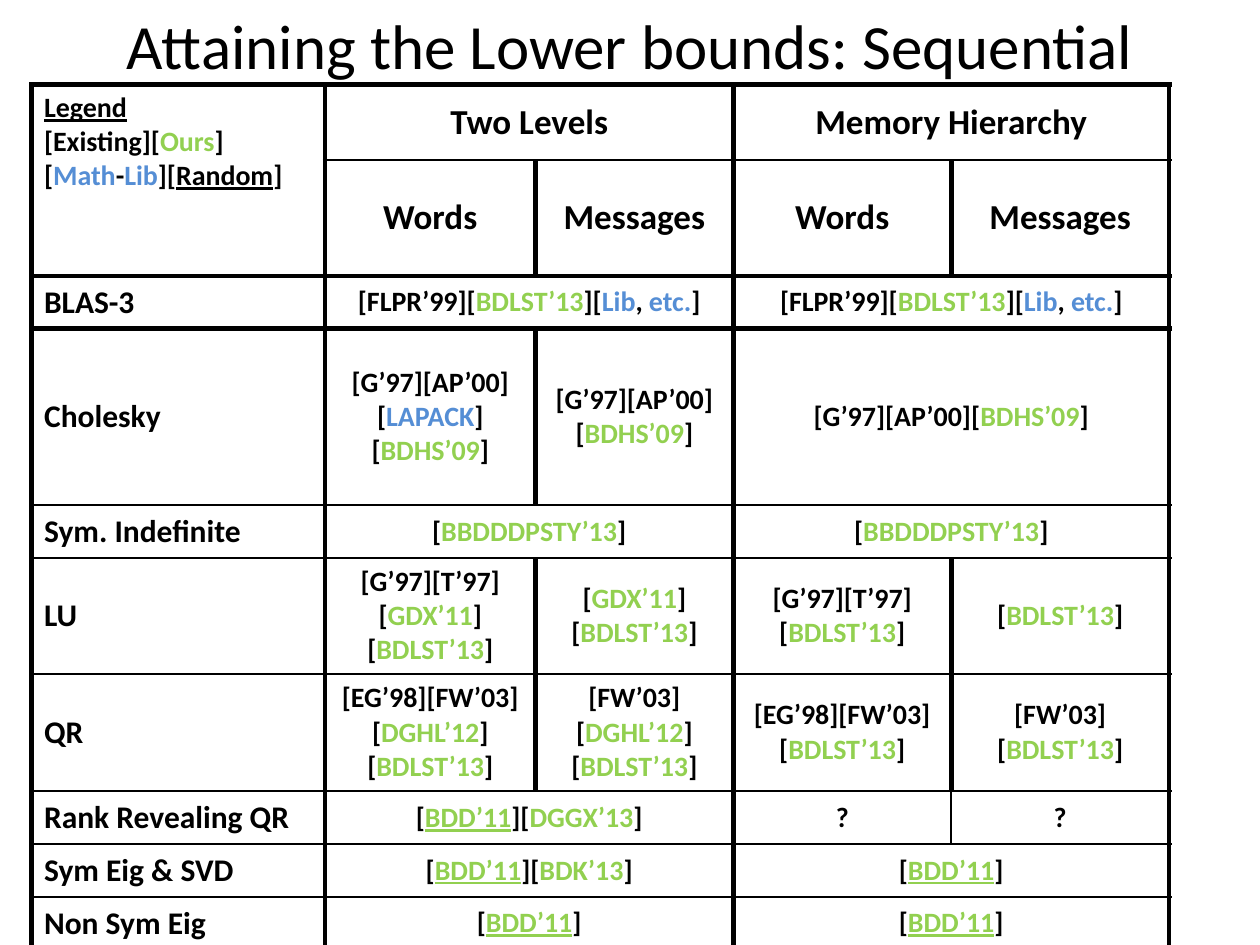
from lxml.etree import SubElement
from pptx import Presentation
from pptx.dml.color import RGBColor
from pptx.enum.text import MSO_ANCHOR, PP_ALIGN
from pptx.oxml.ns import qn
from pptx.util import Inches, Pt

BLACK = RGBColor(0x00, 0x00, 0x00)
GREEN = RGBColor(0x92, 0xD0, 0x50)
BLUE = RGBColor(0x55, 0x8E, 0xD5)
STYLES = {"g": (GREEN, False), "b": (BLUE, False), "u": (BLACK, True), "gu": (GREEN, True)}

COLUMN_WIDTHS = [2.33, 1.67, 1.57, 1.73, 1.73]
ROW_HEIGHTS = [0.6, 0.92, 0.42, 1.4, 0.42, 0.92, 0.93, 0.42, 0.42, 0.42]
THICK_ROW_EDGES = {0, 2, 3, len(ROW_HEIGHTS)}
THICK_COLUMN_EDGES = {0, 1, 3, 5}
THIN_SPLIT_ROW = 7

BDLST = "[|g:BDLST’13|]"
BLAS = "[FLPR’99][|g:BDLST’13|][|b:Lib|, |b:etc.|]"
INDEFINITE = "[|g:BBDDDPSTY’13|]"
RANDOM = "[|gu:BDD’11|]"
LEGEND = "u:Legend\n[Existing][|g:Ours|]\v[|b:Math|-|b:Lib|][|u:Random|]"

ROWS = [
    [LEGEND, "Two Levels", None, "Memory Hierarchy", None],
    [None, "Words", "Messages", "Words", "Messages"],
    ["BLAS-3", BLAS, None, BLAS, None],
    ["Cholesky", "[G’97][AP’00]\v[|b:LAPACK|]\v[|g:BDHS’09|]",
     "[G’97][AP’00]\v[|g:BDHS’09|]", "[G’97][AP’00][|g:BDHS’09|]", None],
    ["Sym. Indefinite", INDEFINITE, None, INDEFINITE, None],
    ["LU", f"[G’97][T’97]\n[|g:GDX’11|]\n{BDLST}", f"[|g:GDX’11|]\n{BDLST}",
     f"[G’97][T’97]\v{BDLST}", BDLST],
    ["QR", f"[EG’98][FW’03]\n[|g:DGHL’12|]\n{BDLST}", f"[FW’03]\n[|g:DGHL’12|]\n{BDLST}",
     f"[EG’98][FW’03]\n{BDLST}", f"[FW’03]\n{BDLST}"],
    ["Rank Revealing QR", "[|gu:BDD’11|][|g:DGGX’13|]", None, "?", "?"],
    ["Sym Eig & SVD", "[|gu:BDD’11|][|g:BDK’13|]", None, RANDOM, None],
    ["Non Sym Eig", RANDOM, None, RANDOM, None],
]


def write_marked(paragraph, text, size):
    for piece in text.split("|"):
        style, colon, words = piece.partition(":")
        color, underline = STYLES[style] if colon else (BLACK, False)
        for number, line in enumerate((words if colon else piece).split("\v")):
            if number:
                paragraph.add_line_break()
            if not line:
                continue
            span = paragraph.add_run()
            span.text = line
            span.font.name = "Calibri"
            span.font.size = Pt(size)
            span.font.bold = True
            span.font.underline = underline
            span.font.color.rgb = color


def add_border(cell, side, width):
    line = SubElement(cell._tc.get_or_add_tcPr(), qn(f"a:ln{side}"), w=str(Pt(width)))
    fill = SubElement(line, qn("a:solidFill"))
    SubElement(fill, qn("a:srgbClr"), val=str(BLACK))


deck = Presentation()
deck.slide_width = Inches(10)
deck.slide_height = Inches(7.5)
page = deck.slides.add_slide(deck.slide_layouts[6])

title = page.shapes.add_textbox(Inches(0), Inches(0), Inches(10), Inches(1.25))
title.text_frame.word_wrap = True
title.text_frame.vertical_anchor = MSO_ANCHOR.TOP
title.text_frame.text = "Attaining the Lower bounds: Sequential"
heading = title.text_frame.paragraphs[0]
heading.alignment = PP_ALIGN.CENTER
heading.font.name = "Calibri"
heading.font.size = Pt(36)
heading.font.color.rgb = BLACK

table = page.shapes.add_table(
    len(ROWS), len(COLUMN_WIDTHS), Inches(0.25), Inches(0.67),
    Inches(sum(COLUMN_WIDTHS)), Inches(sum(ROW_HEIGHTS))).table
table.first_row = False
table.horz_banding = False
for column, width in zip(table.columns, COLUMN_WIDTHS):
    column.width = Inches(width)
for row, height in zip(table.rows, ROW_HEIGHTS):
    row.height = Inches(height)

table.cell(0, 0).merge(table.cell(1, 0))
for row, texts in enumerate(ROWS):
    for column in (2, 4):
        if texts[column] is None:
            table.cell(row, column - 1).merge(table.cell(row, column))

for row, texts in enumerate(ROWS):
    for column, text in enumerate(texts):
        cell = table.cell(row, column)
        right = column + (cell.span_width if cell.is_merge_origin else 1)
        bottom = row + (cell.span_height if cell.is_merge_origin else 1)
        for side, edge in (("L", column), ("R", right), ("T", row), ("B", bottom)):
            if cell.is_spanned and side == ("L" if column else "T"):
                continue
            if side in "LR":
                thick = edge in THICK_COLUMN_EDGES or row != THIN_SPLIT_ROW
            else:
                thick = edge in THICK_ROW_EDGES
            add_border(cell, side, 3 if thick else 1)
        cell.fill.background()
        if text is None:
            continue
        cell.vertical_anchor = MSO_ANCHOR.TOP if text == LEGEND else MSO_ANCHOR.MIDDLE
        if text == LEGEND:
            size = 16
        elif column == 0:
            size = 18
        else:
            size = 20 if row < 2 else 16
        for number, line in enumerate(text.split("\n")):
            frame = cell.text_frame
            paragraph = frame.add_paragraph() if number else frame.paragraphs[0]
            paragraph.alignment = PP_ALIGN.CENTER if column else PP_ALIGN.LEFT
            write_marked(paragraph, line, size)

deck.save("out.pptx")
